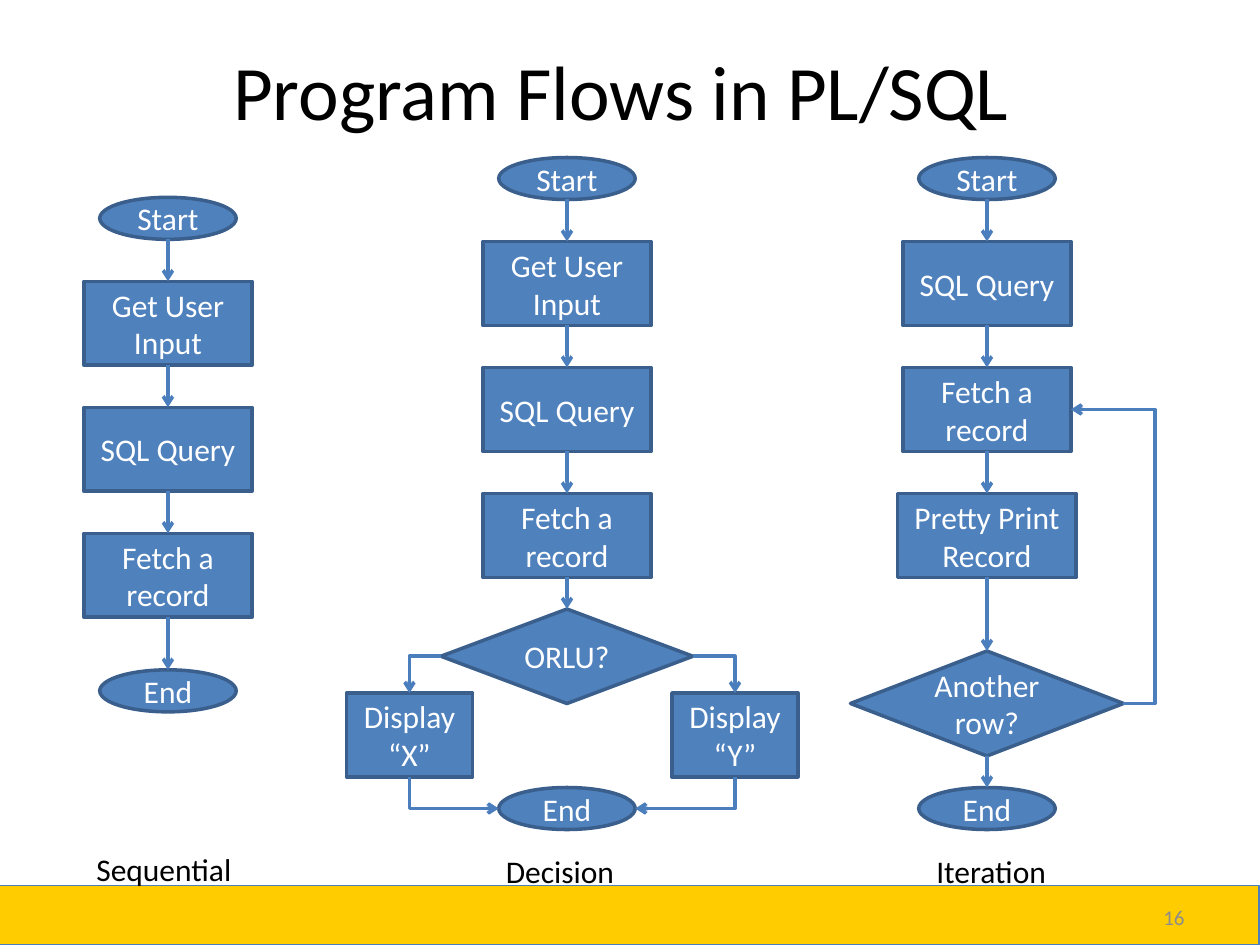
from dataclasses import dataclass

import pptx
import pptx.dml.color
import pptx.enum.shapes
import pptx.enum.text
import pptx.oxml
import pptx.oxml.ns
import pptx.util

Pt = pptx.util.Pt
Kind = pptx.enum.shapes.MSO_SHAPE
Connector = pptx.enum.shapes.MSO_CONNECTOR
Align = pptx.enum.text.PP_ALIGN
Anchor = pptx.enum.text.MSO_ANCHOR

FONT = "Calibri"
STEP_FILL, STEP_LINE, ARROW = "4F81BD", "3A5F8C", "4B7EBC"


@dataclass(frozen=True)
class Step:
    text: str
    center: float
    top: float
    width: float = 96
    height: float = 48
    kind: Kind = Kind.RECTANGLE


@dataclass(frozen=True)
class Label:
    text: str
    left: float
    top: float
    width: float


def terminal(text: str, center: float, top: float) -> Step:
    return Step(text, center, top, 78, 24, Kind.OVAL)


def column(center: float, start: float, texts: list[str]) -> list[Step]:
    """A start oval with boxes below it at an even pitch."""
    boxes = [Step(text, center, start + 48 + 72 * row) for row, text in enumerate(texts)]
    return [terminal("Start", center, start), *boxes]


def color(value: str) -> pptx.dml.color.RGBColor:
    return pptx.dml.color.RGBColor.from_string(value)


def write(shape, text: str, *, size: float = 18, ink: str = "000000",
          align=Align.LEFT, anchor=Anchor.TOP) -> None:
    frame = shape.text_frame
    frame.word_wrap = True
    frame.vertical_anchor = anchor
    para = frame.paragraphs[0]
    para.alignment = align
    span = para.add_run()
    span.text = text
    span.font.name = FONT
    span.font.size = Pt(size)
    span.font.color.rgb = color(ink)


def add_text(page, text: str, left: float, top: float, width: float, height: float, **style) -> None:
    box = page.shapes.add_textbox(Pt(left), Pt(top), Pt(width), Pt(height))
    write(box, text, **style)


def add_filled(page, kind, left: float, top: float, width: float, height: float,
               fill: str, line: str, weight: float):
    shape = page.shapes.add_shape(kind, Pt(left), Pt(top), Pt(width), Pt(height))
    shape.shadow.inherit = False
    shape.fill.solid()
    shape.fill.fore_color.rgb = color(fill)
    shape.line.color.rgb = color(line)
    shape.line.width = Pt(weight)
    return shape


def add_step(page, step: Step):
    shape = add_filled(page, step.kind, step.center - step.width / 2, step.top,
                       step.width, step.height, STEP_FILL, STEP_LINE, 2)
    write(shape, step.text, ink="FFFFFF", align=Align.CENTER, anchor=Anchor.MIDDLE)
    return shape


def add_arrow(page, kind, begin: tuple[float, float], end: tuple[float, float]):
    arrow = page.shapes.add_connector(kind, *(Pt(value) for value in begin + end))
    arrow.line.color.rgb = color(ARROW)
    arrow.line.width = Pt(2)
    properties = arrow._element.spPr
    properties.find(pptx.oxml.ns.qn("a:ln")).append(pptx.oxml.parse_xml(
        f'<a:tailEnd {pptx.oxml.ns.nsdecls("a")} type="arrow"/>'))
    properties.append(pptx.oxml.parse_xml(f'<a:effectLst {pptx.oxml.ns.nsdecls("a")}/>'))
    return arrow


def geometry(arrow):
    return arrow._element.spPr.find(pptx.oxml.ns.qn("a:prstGeom"))


def add_corner(page, begin: tuple[float, float], end: tuple[float, float],
               down_first: bool = False) -> None:
    """An arrow with one bend; down_first runs down before it turns sideways."""
    if not down_first:
        arrow = add_arrow(page, Connector.ELBOW, begin, end)
    else:
        # The preset runs sideways first, so draw it turned a quarter about its middle.
        across, down = end[0] - begin[0], end[1] - begin[1]
        middle_x, middle_y = begin[0] + across / 2, begin[1] + down / 2
        rightward = across > 0
        half_x = -down / 2 if rightward else down / 2
        half_y = abs(across) / 2
        arrow = add_arrow(page, Connector.ELBOW, (middle_x - half_x, middle_y - half_y),
                          (middle_x + half_x, middle_y + half_y))
        frame = arrow._element.spPr.find(pptx.oxml.ns.qn("a:xfrm"))
        frame.set("rot", str((270 if rightward else 90) * 60000))
    geometry(arrow).set("prst", "bentConnector2")


def add_loop(page, begin: tuple[float, float], end: tuple[float, float], turn: float) -> None:
    """An arrow that runs out to x = turn and comes back."""
    shape = geometry(add_arrow(page, Connector.ELBOW, begin, end))
    share = round((turn - begin[0]) / (end[0] - begin[0]) * 100000)
    for guides in shape.findall(pptx.oxml.ns.qn("a:avLst")):
        shape.remove(guides)
    shape.append(pptx.oxml.parse_xml(
        f'<a:avLst {pptx.oxml.ns.nsdecls("a")}><a:gd name="adj1" fmla="val {share}"/></a:avLst>'))


def add_flow(page, steps: list[Step], skip_last: bool = False) -> None:
    """Draw the steps and join each to the next; skip_last leaves out the final arrow."""
    shapes = [add_step(page, step) for step in steps]
    pairs = list(zip(steps, steps[1:], shapes, shapes[1:]))
    for upper, lower, source, target in pairs[:-1] if skip_last else pairs:
        arrow = add_arrow(page, Connector.STRAIGHT,
                          (upper.center, upper.top + upper.height), (lower.center, lower.top))
        if upper.kind != Kind.OVAL:
            arrow.begin_connect(source, 2)
        arrow.end_connect(target, 0)


def main() -> None:
    deck = pptx.Presentation()
    deck.slide_width, deck.slide_height = Pt(720), Pt(540)
    page = deck.slides.add_slide(deck.slide_layouts[6])

    add_filled(page, Kind.RECTANGLE, -0.5, 506, 720, 34, "FFCC00", ARROW, 0.75)
    # The trailing space is part of the centred line.
    add_text(page, "Program Flows in PL/SQL ", 36, 6, 648, 90, size=44,
             align=Align.CENTER, anchor=Anchor.MIDDLE)
    add_text(page, "16", 516, 510, 168, 28.5, size=12, ink="8C8C8C",
             align=Align.RIGHT, anchor=Anchor.MIDDLE)

    common = ["Get User Input", "SQL Query", "Fetch a record"]
    add_flow(page, [*column(96, 112.75, common), terminal("End", 96, 382.75)])

    choice = Step("ORLU?", 324, 348, 144, 54, Kind.FLOWCHART_DECISION)
    finish = terminal("End", 324, 450)
    add_flow(page, [*column(324, 90, common), choice, finish], skip_last=True)
    for text, center, side in (("Display “X”", 234, -1), ("Display “Y”", 420, 1)):
        branch = Step(text, center, 396, 72)
        add_step(page, branch)
        add_corner(page, (choice.center + side * choice.width / 2, choice.top + choice.height / 2),
                   (center, branch.top))
        add_corner(page, (center, branch.top + branch.height),
                   (finish.center + side * finish.width / 2, finish.top + finish.height / 2),
                   down_first=True)

    repeat = Step("Another row?", 564, 372, 156, 60, Kind.FLOWCHART_DECISION)
    add_flow(page, [*column(564, 90, ["SQL Query", "Fetch a record"]),
                    Step("Pretty Print Record", 564, 282, 102),
                    repeat, terminal("End", 564, 450)])
    add_loop(page, (642, 402), (612, 234), turn=660)

    for label in (Label("Sequential", 48, 482, 102), Label("Decision", 282, 483.5, 96),
                  Label("Iteration", 528, 483.5, 102)):
        add_text(page, label.text, label.left, label.top, label.width, 30)

    deck.save("out.pptx")


if __name__ == "__main__":
    main()
